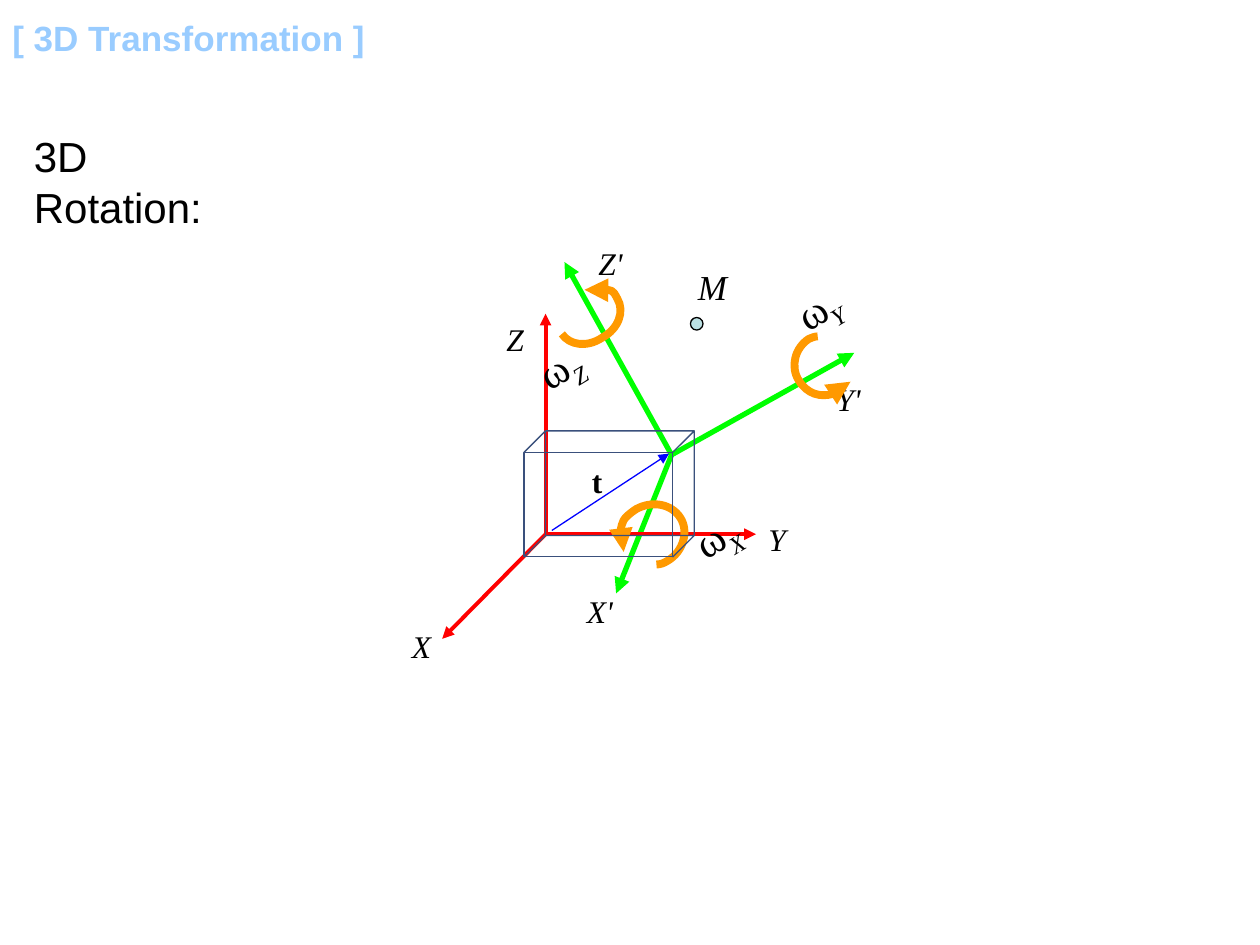
from pptx import Presentation
from pptx.dml.color import RGBColor
from pptx.enum.shapes import MSO_CONNECTOR, MSO_SHAPE
from pptx.enum.text import MSO_ANCHOR
from pptx.oxml.ns import qn
from pptx.util import Inches, Pt
from lxml import etree

STRAIGHT = MSO_CONNECTOR.STRAIGHT
RECT, OVAL = MSO_SHAPE.RECTANGLE, MSO_SHAPE.OVAL
TOP = MSO_ANCHOR.TOP
BLACK = RGBColor(0x00, 0x00, 0x00)
WHITE = RGBColor(0xFF, 0xFF, 0xFF)
SKY = RGBColor(0x99, 0xCC, 0xFF)
GREEN = RGBColor(0x00, 0xFF, 0x00)
RED = RGBColor(0xFF, 0x00, 0x00)
BLUE = RGBColor(0x00, 0x00, 0xFF)
ORANGE = RGBColor(0xFF, 0x99, 0x00)
PALE = RGBColor(0xBB, 0xE0, 0xE3)
EDGE = RGBColor(0x3A, 0x50, 0x7C)
SANS, SERIF = "Arial", "Times New Roman"


class Diagram:
    """Draws styled diagram elements on the current slide."""

    def __init__(self, s):
        self.s = s

    def text(self, x, y, w, h, runs, size=18, font=SERIF, color=BLACK,
             bold=False, italic=False, wrap=True, rotation=0, fill=None):
        sp = self.s.shapes.add_textbox(Inches(x), Inches(y), Inches(w), Inches(h))
        sp.rotation = rotation
        if fill is not None:
            self.fill(sp, fill)
        tf = sp.text_frame
        tf.word_wrap = wrap
        tf.vertical_anchor = TOP
        p = tf.paragraphs[0]
        for value in runs:
            r = p.add_run()
            r.text = value
            r.font.name, r.font.size = font, Pt(size)
            r.font.bold, r.font.italic = bold, italic
            r.font.color.rgb = color
        return p

    def omega(self, x, y, axis):
        p = self.text(x, y, 0.57, 0.5, ["ω", axis], size=24, rotation=329)
        sub = p.runs[1]
        sub.font.italic = True
        sub.font._element.set("baseline", "-25000")

    def fill(self, sp, color):
        if color is None:
            sp.fill.background()
        else:
            sp.fill.solid()
            sp.fill.fore_color.rgb = color

    def stroke(self, sp, color, width, arrow=False):
        sp.line.color.rgb = color
        sp.line.width = Pt(width)
        if arrow:
            ln = sp.line._get_or_add_ln()
            etree.SubElement(ln, qn("a:tailEnd"), type="triangle")

    def line(self, start, end, color, width):
        sp = self.s.shapes.add_connector(STRAIGHT, *map(Inches, start + end))
        self.stroke(sp, color, width, True)
        etree.SubElement(sp._element.spPr, qn("a:effectLst"))

    def shape(self, kind, x, y, w, h, color, width, fill=None):
        sp = self.s.shapes.add_shape(kind, Inches(x), Inches(y), Inches(w), Inches(h))
        sp.shadow.inherit = False
        self.fill(sp, fill)
        self.stroke(sp, color, width)

    def outline(self, points, color, width, arrow=False):
        pts = [(Inches(x), Inches(y)) for x, y in points]
        fb = self.s.shapes.build_freeform(*pts[0])
        fb.add_line_segments(pts[1:], close=False)
        sp = fb.convert_to_shape()
        sp.shadow.inherit = False
        self.fill(sp, None)
        self.stroke(sp, color, width, arrow)
        return sp

    def arc(self, points):
        sp = self.outline(points, ORANGE, 4.5, True)
        outline = next(sp._element.iter(qn("a:path")))
        segments = outline.findall(qn("a:lnTo"))
        for i in range(0, len(segments), 3):
            curve = etree.SubElement(outline, qn("a:cubicBezTo"))
            for segment in segments[i:i + 3]:
                curve.append(segment[0])
                outline.remove(segment)

    def box(self, x, y, w, h, dx, dy):
        tl, tr, br, bl = (x, y), (x + w, y), (x + w, y + h), (x, y + h)
        btl, btr, bbr, bbl = ((cx + dx, cy + dy) for cx, cy in (tl, tr, br, bl))
        self.outline([tl, btl, btr, tr, btr, bbr, br, bbr, bbl, bl, bbl, btl],
                     EDGE, 0.75)
        self.shape(RECT, x, y, w, h, EDGE, 0.75)


def main():
    prs = Presentation()
    prs.slide_width, prs.slide_height = Inches(10), Inches(7.5)
    d = Diagram(prs.slides.add_slide(prs.slide_layouts[6]))

    d.text(0, 0.08, 4.4, 0.58, ["[ 3D Transformation ]"], 20, SANS, SKY,
           bold=True, fill=WHITE)

    for label, x, y, w, wrap in (
            ("X'", 4.56, 4.65, 0.41, False), ("Z'", 4.65, 1.89, 0.39, False),
            ("Y'", 6.54, 2.97, 0.4, True), ("X", 3.17, 4.93, 0.51, True),
            ("Y", 6, 4.08, 0.43, True), ("Z", 3.92, 2.49, 0.44, True)):
        d.text(x, y, w, 0.4, [label], italic=True, wrap=wrap)

    for end in ((4.48, 2.08), (4.89, 4.71), (6.78, 2.8)):
        d.line((5.33, 3.61), end, GREEN, 3)
    for end in ((4.33, 2.49), (6, 4.24), (3.51, 5.07)):
        d.line((4.33, 4.24), end, RED, 2.25)

    d.arc([(5.21, 4.48), (5.24, 4.48), (5.27, 4.47), (5.3, 4.45),
           (5.42, 4.38), (5.47, 4.22), (5.4, 4.11),
           (5.33, 4), (5.18, 3.97), (5.05, 4.04),
           (4.93, 4.12), (4.88, 4.27), (4.95, 4.38)])
    for axis, x, y in (("X", 5.41, 3.99), ("Y", 6.22, 2.18), ("Z", 4.17, 2.65)):
        d.omega(x, y, axis)
    d.arc([(6.49, 2.67), (6.47, 2.67), (6.44, 2.68), (6.42, 2.69),
           (6.31, 2.76), (6.27, 2.91), (6.34, 3.02),
           (6.41, 3.13), (6.56, 3.17), (6.67, 3.1),
           (6.7, 3.08), (6.73, 3.06), (6.75, 3.03)])
    d.arc([(4.46, 2.65), (4.52, 2.74), (4.66, 2.76), (4.78, 2.68),
           (4.91, 2.61), (4.96, 2.47), (4.9, 2.37),
           (4.86, 2.29), (4.75, 2.27), (4.64, 2.3)])

    d.text(5.44, 2.06, 0.45, 0.43, ["M"], 20, italic=True)
    d.shape(OVAL, 5.48, 2.52, 0.1, 0.1, BLACK, 0.75, PALE)
    d.text(0.17, 0.99, 1.92, 0.5, ["3D Rotation:"], 24, SANS)

    d.box(4.16, 3.59, 1.18, 0.83, 0.17, -0.17)
    d.line((4.38, 4.21), (5.31, 3.6), BLUE, 0.75)
    d.text(4.6, 3.62, 0.4, 0.4, ["t"], bold=True)

    prs.save("out.pptx")


if __name__ == "__main__":
    main()
